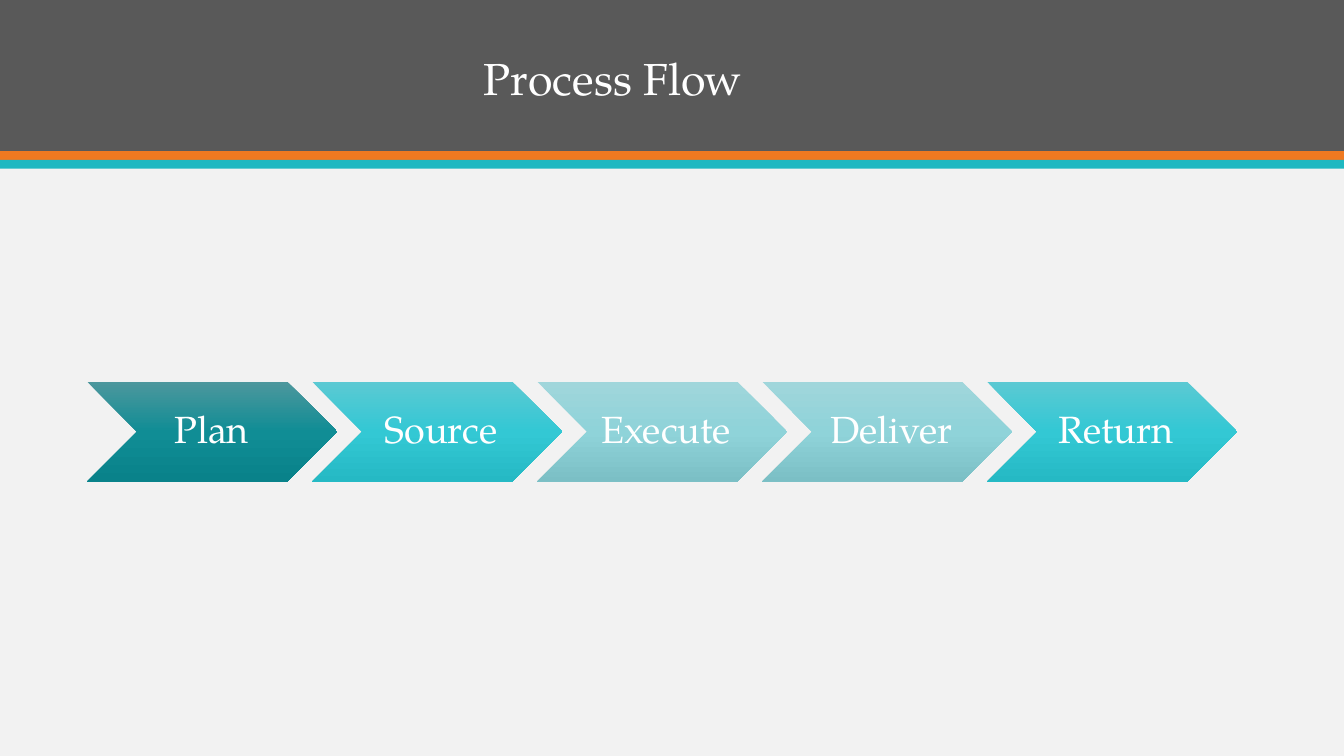
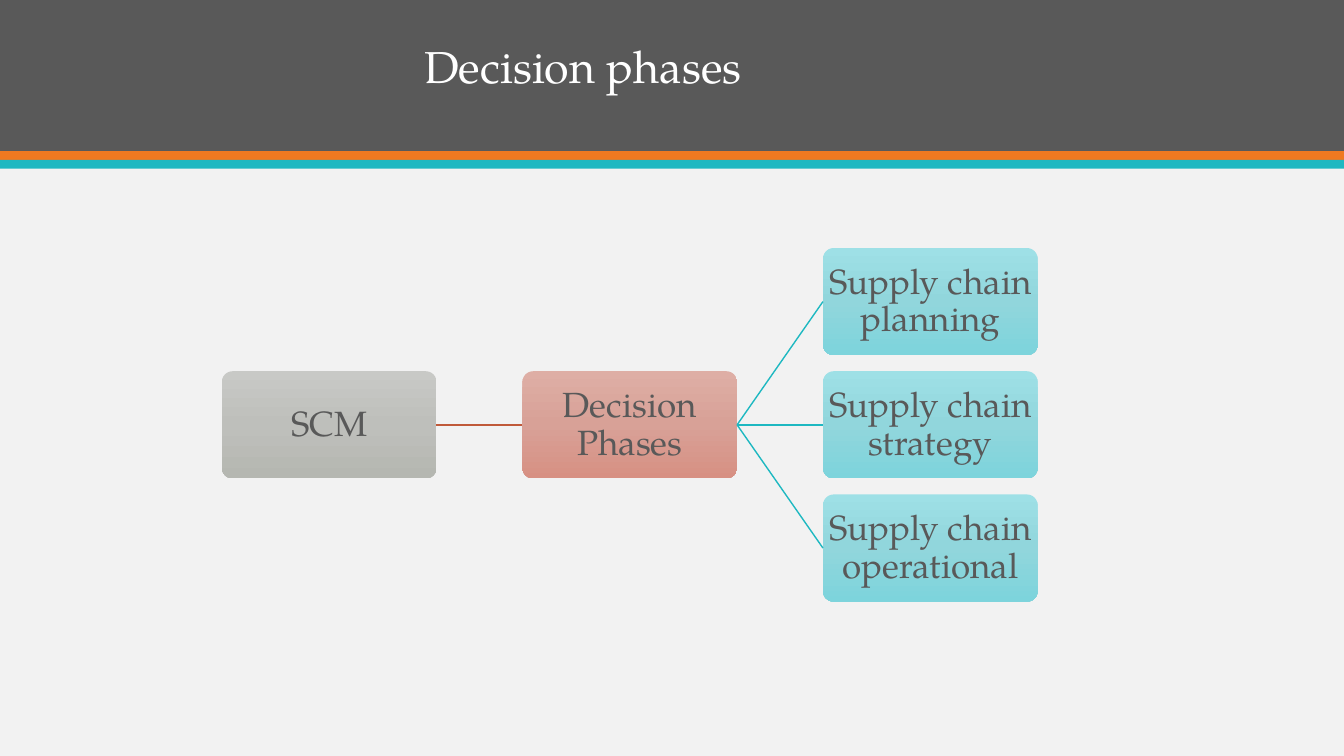
from copy import deepcopy

from pptx import Presentation
from pptx.dml.color import RGBColor as RGB
from pptx.enum.shapes import MSO_CONNECTOR as LINK, MSO_SHAPE as SHAPE
from pptx.enum.text import MSO_ANCHOR as ANCHOR, MSO_AUTO_SIZE as AUTO, PP_ALIGN as ALIGN
from pptx.oxml.ns import qn
from pptx.oxml.xmlchemy import OxmlElement as Node
from pptx.util import Cm, Pt

FONT = "TeX Gyre Pagella"
WIDE, HIGH = 33.87, 19.05
WHITE, PALE, DARK = "FFFFFF", "F2F2F2", "595959"
TEAL, ORANGE, RUST = "1EB8C1", "EF7920", "C05A3A"
DEEP = "4D979D", "108D95", "09828A"
BRIGHT = "5BC9D3", "33C8D4", "25B9C4"
SOFT = "A0D6DB", "8FD3D9", "7BBFC5"
GREY = "C8C9C6", "BEBFBB", "B5B7B1"
ROSE = "DEAEA5", "D8A197", "D79083"
AQUA = "9EE0E6", "91D6DC", "7DD4DC"

STEPS = [("Plan ", DEEP), ("Source", BRIGHT), ("Execute", SOFT),
         ("Deliver", SOFT), ("Return", BRIGHT)]
LEAVES = ["Supply chain planning", "Supply chain strategy", "Supply chain operational"]


def paint(part, hue):
    part.rgb = RGB.from_string(hue)


def blend(shape, hues):
    fill = shape.fill
    fill.gradient()
    fill.gradient_angle = 270
    stops = shape.element.spPr.find(".//" + qn("a:gsLst"))
    stops.append(deepcopy(stops[0]))
    for stop, hue, place in zip(fill.gradient_stops, hues, (0, 0.5, 1)):
        stop.position = place
        paint(stop.color, hue)


def block(slide, kind, x, y, w, h, fill):
    shape = slide.shapes.add_shape(kind, Cm(x), Cm(y), Cm(w), Cm(h))
    shape.shadow.inherit = False
    shape.line.fill.background()
    if isinstance(fill, str):
        shape.fill.solid()
        paint(shape.fill.fore_color, fill)
    else:
        blend(shape, fill)
    return shape


def write(shape, text, size=32, hue=WHITE, align=ALIGN.CENTER,
          anchor=ANCHOR.MIDDLE, pad=(0.25, 0.13, 0.25, 0.13)):
    frame = shape.text_frame
    frame.text = text
    frame.word_wrap = True
    frame.auto_size = AUTO.NONE
    frame.vertical_anchor = anchor
    (frame.margin_left, frame.margin_top,
     frame.margin_right, frame.margin_bottom) = map(Cm, pad)
    line = frame.paragraphs[0]
    line.alignment = align
    line.line_spacing = 0.9
    font = line.runs[0].font
    font.name, font.size = FONT, Pt(size)
    paint(font.color, hue)


def dress(deck, slide):
    master = deck.slide_master
    master.background.fill.solid()
    paint(master.background.fill.fore_color, PALE)
    bands = [(0, 3.81, DARK), (3.81, 0.22, ORANGE), (4.03, 0.22, TEAL)]
    for place, (y, h, hue) in enumerate(bands, 2):
        band = block(slide, SHAPE.RECTANGLE, 0, y, WIDE, h, hue)
        master.element.cSld.spTree.insert(place, band.element)


def head(slide, text, x, y, w, h):
    title = slide.shapes.title
    title.left, title.top, title.width, title.height = map(Cm, (x, y, w, h))
    write(title, text, align=ALIGN.LEFT, anchor=ANCHOR.BOTTOM)


def flow(slide, x, y, w, h):
    pitch = 0.9
    wide = w / (1 + pitch * (len(STEPS) - 1))
    for i, (text, hues) in enumerate(STEPS):
        step = block(slide, SHAPE.CHEVRON, x + i * pitch * wide, y, wide, h, hues)
        write(step, text, size=27, pad=(0.3, 0.1, 0.1, 0.1))


def join(slide, start, end, hue):
    link = slide.shapes.add_connector(LINK.STRAIGHT, 0, 0, 0, 0)
    link.begin_connect(start, 3)
    link.end_connect(end, 1)
    link.line.width = Pt(1)
    paint(link.line.color, hue)
    link.element.spPr.append(Node("a:effectLst"))


def tree(slide, x, y, w, h):
    across, down = 1.4, 1.15
    wide = w / (1 + 2 * across)
    high = h / (1 + down * (len(LEAVES) - 1))

    def card(text, col, row, hues):
        box = block(slide, SHAPE.ROUNDED_RECTANGLE, x + col * across * wide,
                    y + row * down * high, wide, high, hues)
        box.adjustments[0] = 0.1
        write(box, text, size=25, hue=DARK, pad=[0.05] * 4)
        return box

    mid = (len(LEAVES) - 1) / 2
    root = card("SCM", 0, mid, GREY)
    hub = card("Decision Phases", 1, mid, ROSE)
    join(slide, root, hub, RUST)
    for row, text in enumerate(LEAVES):
        join(slide, hub, card(text, 2, row, AQUA), TEAL)


def main():
    deck = Presentation()
    deck.slide_width, deck.slide_height = Cm(WIDE), Cm(HIGH)
    first, second = (deck.slides.add_slide(deck.slide_layouts[5]) for _ in range(2))
    dress(deck, first)
    head(first, "Process Flow", 11.94, 0.81, 7.52, 1.98)
    flow(first, 2.2, 9.62, 28.98, 2.52)
    head(second, "Decision phases", 10.44, 0.91, 8.61, 1.57)
    tree(second, 5.59, 6.25, 20.56, 8.91)
    deck.save("out.pptx")


if __name__ == "__main__":
    main()
